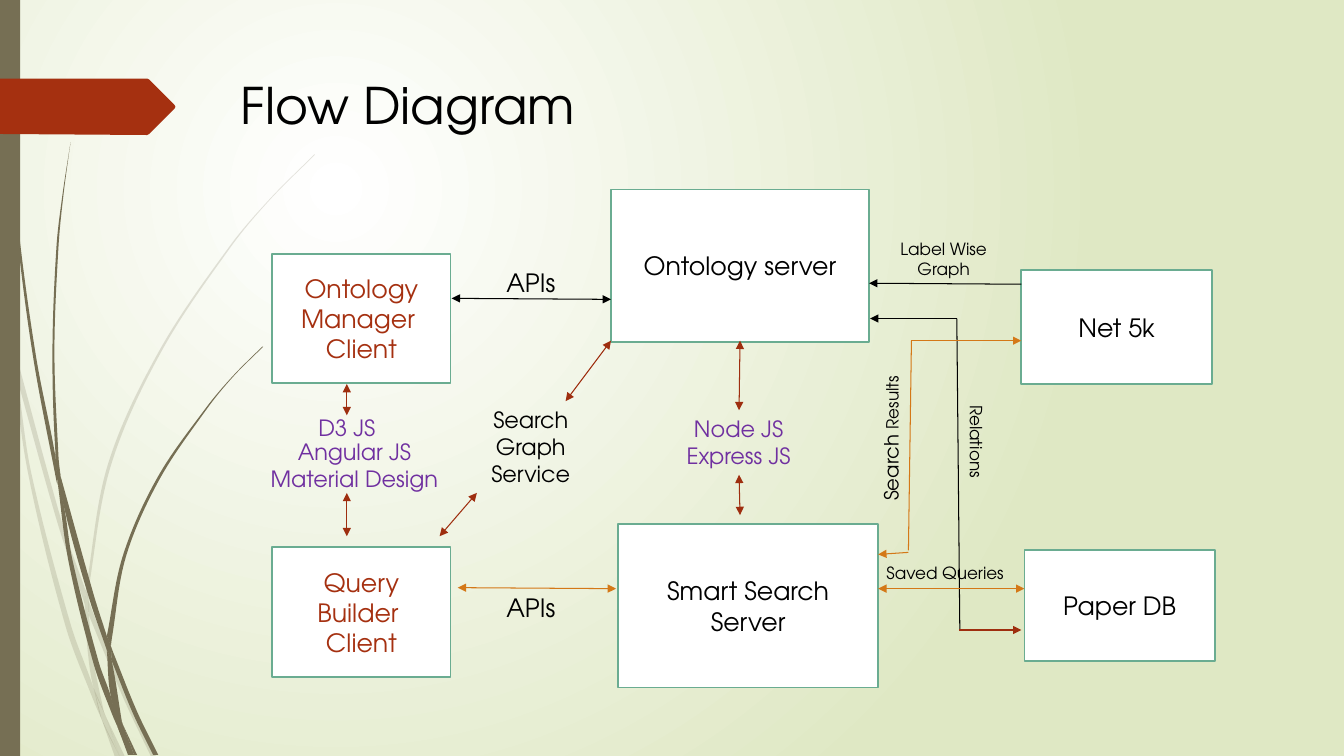
from math import dist
from itertools import accumulate

from lxml.etree import SubElement
from pptx import Presentation
from pptx.dml.color import RGBColor
from pptx.enum.shapes import MSO_CONNECTOR, MSO_SHAPE
from pptx.enum.text import MSO_ANCHOR, MSO_AUTO_SIZE, PP_ALIGN
from pptx.oxml.ns import qn
from pptx.util import Inches, Pt

# The grid has square cells: 13.33 columns by 7.5 rows.
CELL, COLUMNS, ROWS = Inches(1), 13.33, 7.5
FONT = "TeX Gyre Adventor"
BLACK, WHITE, OLIVE, RUST = "000000", "FFFFFF", "766F54", "A53010"
BRICK, ORANGE, PURPLE, GREEN = "9E2E0F", "D47817", "7030A0", "6AAC91"

# Each blade of grass is a pair of edges that run side by side.
PALE_BLADES = [
    ([(0, 2.82), (.09, 3.22), (.11, 3.5)], [(0, 2.99), (.1, 3.44), (.11, 3.5)]),
    ([(.14, 3.45), (.62, 5.2), (.85, 5.86)], [(.17, 3.76), (.58, 5.22), (.84, 5.99)]),
    ([(.88, 5.96), (.92, 6.07), (1.27, 6.92), (1.55, 7.51)],
     [(.88, 6.1), (1.23, 6.94), (1.5, 7.51)]),
    ([(1.05, 7.11), (1.24, 7.51)], [(1.05, 7.11), (1.19, 7.51)]),
    ([(.11, 3.5), (.17, 3.76), (.31, 4.69), (.7, 6.19), (.93, 6.83), (1.01, 7.14)],
     [(.11, 3.5), (.28, 4.7), (.65, 6.21), (.92, 6.93), (1.01, 7.14)]),
    ([(.84, 5.99), (.88, 6.1), (.91, 6.46), (1.03, 7.06), (1.05, 7.11)],
     [(.84, 5.99), (.87, 6.46), (.93, 6.83), (1.05, 7.11)]),
    ([(3.12, 1.53), (2.68, 1.97), (2.28, 2.44), (1.58, 3.48), (1.07, 4.61), (.85, 5.86)],
     [(3.12, 1.54), (2.68, 1.98), (2.29, 2.45), (1.6, 3.49), (1.1, 4.62), (.88, 5.84),
      (.88, 5.96)]),
    ([(1.01, 7.14), (1.19, 7.51)], [(1.01, 7.14), (1.14, 7.51)]),
    ([(.85, 5.86), (.88, 5.96), (.88, 6.1)], [(.84, 5.99), (.88, 6.08)]),
    ([(.93, 6.83), (1.05, 7.11), (1.19, 7.51)],
     [(.93, 6.83), (1.01, 7.14), (1.19, 7.51)]),
]
DARK_BLADES = [
    ([(.04, 0), (.05, .48), (.08, 1.09), (.19, 2.32), (.36, 3.55), (.55, 4.53), (.57, 4.81)],
     [(.03, 0), (.04, .48), (.07, 1.1), (.17, 2.33), (.33, 3.55), (.56, 4.77), (.57, 4.81)]),
    ([(.6, 4.72), (.93, 5.9), (1.06, 6.31)],
     [(.6, 4.72), (.64, 5.05), (.88, 5.92), (1.06, 6.45)]),
    ([(1.1, 6.41), (1.13, 6.49), (1.36, 7.06), (1.57, 7.49)],
     [(1.11, 6.56), (1.32, 7.08), (1.52, 7.49)]),
    ([(.57, 4.77), (.64, 5.05), (.72, 5.56), (.98, 6.57), (1.1, 6.91), (1.17, 7.22)],
     [(.57, 4.77), (.68, 5.57), (.93, 6.59), (1.11, 7.08), (1.17, 7.22)]),
    ([(.7, 1.41), (.63, 1.93), (.58, 2.45), (.54, 3.49), (.58, 4.53), (.6, 4.72)],
     [(.7, 1.41), (.62, 1.93), (.56, 2.45), (.52, 3.49), (.55, 4.49), (.6, 4.72)]),
    ([(1.22, 7.19), (1.36, 7.49)], [(1.22, 7.19), (1.33, 7.49)]),
    ([(.55, 4.49), (.6, 4.72), (.64, 5.05)], [(.55, 4.53), (.57, 4.77), (.64, 5.05)]),
    ([(2.6, 3.44), (2.31, 3.73), (2.04, 4.05), (1.56, 4.74), (1.22, 5.51), (1.06, 6.31)],
     [(2.61, 3.44), (2.31, 3.74), (2.05, 4.06), (1.58, 4.76), (1.25, 5.52), (1.11, 6.33),
      (1.1, 6.41)]),
    ([(1.17, 7.22), (1.31, 7.49)], [(1.17, 7.22), (1.27, 7.49)]),
    ([(1.06, 6.45), (1.11, 6.56), (1.21, 7.16), (1.22, 7.19)],
     [(1.06, 6.45), (1.1, 6.91), (1.22, 7.19)]),
    ([(1.06, 6.31), (1.1, 6.41), (1.11, 6.56)], [(1.06, 6.45), (1.11, 6.56)]),
    ([(1.1, 6.91), (1.22, 7.19), (1.33, 7.49)],
     [(1.1, 6.91), (1.17, 7.22), (1.3, 7.49)]),
]


def grid(*cells):
    """Turn grid lengths into slide units."""
    return [round(cell * CELL) for cell in cells]


def paint(colour_format, colour):
    """Set a colour from a hex string."""
    colour_format.rgb = RGBColor.from_string(colour)


def fill(shape, colour, line=None):
    """Give a shape a plain fill, an optional outline and no shadow."""
    shape.shadow.inherit = False
    shape.fill.solid()
    paint(shape.fill.fore_color, colour)
    if line:
        paint(shape.line.color, line)
        shape.line.width = Pt(1.25)
    else:
        shape.line.fill.background()


def smooth(points):
    """Return the first point, then two handles and an end for each curve."""
    lengths = [dist(a, b) for a, b in zip(points, points[1:])]
    marks = [0, *accumulate(lengths)]
    slopes = []
    for i in range(len(points)):
        low, high = max(i - 1, 0), min(i + 1, len(points) - 1)
        slopes.append([(b - a) / (marks[high] - marks[low])
                       for a, b in zip(points[low], points[high])])
    curve = [points[0]]
    for i, length in enumerate(lengths):
        start, end = points[i], points[i + 1]
        curve += [[a + m * length / 3 for a, m in zip(start, slopes[i])],
                  [b - m * length / 3 for b, m in zip(end, slopes[i + 1])], end]
    return curve


def add_outline(shapes, points, colour):
    """Add a filled closed outline."""
    start, *rest = [grid(*point) for point in points]
    builder = shapes.build_freeform(*start, scale=1)
    builder.add_line_segments(rest, close=True)
    outline = builder.convert_to_shape()
    fill(outline, colour)
    return outline


def bend(outline, straight):
    """Merge each three segments into one curve, but keep one segment straight."""
    segments = list(outline._element.iter(qn("a:lnTo")))
    del segments[straight]
    for first, *others in zip(segments[::3], segments[1::3], segments[2::3]):
        first.tag = qn("a:cubicBezTo")
        for segment in others:
            first.append(segment[0])
            segment.getparent().remove(segment)


def add_grass(page, blades, opacity):
    """Add a group of curved blades."""
    group = page.shapes.add_group_shape()
    for near_edge, far_edge in blades:
        near, far = smooth(near_edge), smooth(far_edge[::-1])
        blade = add_outline(group.shapes, near + far, OLIVE)
        bend(blade, len(near) - 1)
        if opacity < 100:
            colour = next(blade._element.iter(qn("a:srgbClr")))
            SubElement(colour, qn("a:alpha"), val=str(opacity * 1000))


def lines(size, *texts):
    """Make one paragraph of one run for each text."""
    return [[(text, size)] for text in texts]


def write(frame, paragraphs, colour, align=PP_ALIGN.CENTER):
    """Fill a text frame run by run."""
    for i, runs in enumerate(paragraphs):
        para = frame.add_paragraph() if i else frame.paragraphs[0]
        para.alignment = align
        for text, size in runs:
            span = para.add_run()
            span.text = text
            span.font.name, span.font.size = FONT, Pt(size)
            paint(span.font.color, colour)


def add_node(page, place, colour, *texts):
    """Add a white box of the diagram."""
    box = page.shapes.add_shape(MSO_SHAPE.RECTANGLE, *grid(*place))
    fill(box, WHITE, GREEN)
    box.text_frame.word_wrap = True
    box.text_frame.vertical_anchor = MSO_ANCHOR.MIDDLE
    write(box.text_frame, lines(18, *texts), colour)


def add_label(page, place, paragraphs, colour=BLACK, wrap=False, turn=0,
              align=PP_ALIGN.CENTER):
    """Add free text, turned if asked."""
    box = page.shapes.add_textbox(*grid(*place))
    box.rotation = turn
    box.text_frame.word_wrap = wrap
    box.text_frame.auto_size = MSO_AUTO_SIZE.SHAPE_TO_FIT_TEXT
    write(box.text_frame, paragraphs, colour, align)


def add_flow(page, start, end, colour, arrows=("headEnd", "tailEnd")):
    """Add a straight line with the given arrowheads."""
    flow = page.shapes.add_connector(MSO_CONNECTOR.STRAIGHT, *grid(*start, *end))
    paint(flow.line.color, colour)
    flow.line.width = Pt(.75)
    for arrow in arrows:
        SubElement(flow.line._get_or_add_ln(), qn(f"a:{arrow}"), type="triangle")
    SubElement(flow._element.spPr, qn("a:effectLst"))


def add_backdrop(page):
    """Paint the radial background, grass, side bar and title marker."""
    backdrop = page.background.fill
    backdrop.gradient()
    for stop, position, colour in zip(backdrop.gradient_stops, (0, 1), (WHITE, "DFE8C4")):
        stop.position = position
        paint(stop.color, colour)
    linear = next(page._element.iter(qn("a:lin")))
    gradient = linear.getparent()
    gradient.remove(linear)
    circle = SubElement(gradient, qn("a:path"), path="circle")
    SubElement(circle, qn("a:fillToRect"), l="50000", t="50000", r="100000", b="100000")
    add_grass(page, PALE_BLADES, 20)
    add_grass(page, DARK_BLADES, 100)
    fill(page.shapes.add_shape(MSO_SHAPE.RECTANGLE, *grid(0, 0, .2, ROWS)), OLIVE)
    add_outline(page.shapes, [(0, .78), (1.46, .78), (1.48, .79), (1.73, 1.04), (1.74, 1.06),
                              (1.73, 1.08), (1.48, 1.33), (1.46, 1.34), (0, 1.33)], RUST)


def main():
    """Build the flow diagram slide."""
    deck = Presentation()
    deck.slide_width, deck.slide_height = grid(COLUMNS, ROWS)
    page = deck.slides.add_slide(deck.slide_layouts[6])
    add_backdrop(page)

    add_node(page, (2.7, 2.52, 1.77, 1.28), RUST, "Ontology Manager ", "Client")
    add_node(page, (2.7, 5.43, 1.77, 1.29), RUST, "Query Builder ", "Client")
    add_node(page, (6.06, 1.88, 2.56, 1.51), BLACK, "Ontology server")
    add_node(page, (10.13, 2.68, 1.89, 1.13), BLACK, "Net 5k")
    add_node(page, (10.16, 5.46, 1.89, 1.1), BLACK, "Paper DB")
    add_node(page, (6.13, 5.2, 2.58, 1.62), BLACK, "Smart Search Server")

    add_flow(page, (9.52, 6.25), (9.49, 3.16), BLACK, [])
    add_flow(page, (9.04, 3.38), (9.01, 5.46), ORANGE, [])
    for start, end, colour in [
            ((9.49, 3.16), (8.63, 3.16), BLACK), ((9.01, 5.48), (8.71, 5.5), ORANGE),
            ((9.04, 3.38), (10.13, 3.38), ORANGE), ((9.51, 6.25), (10.13, 6.25), BRICK),
            ((10.13, 2.82), (8.62, 2.81), BLACK)]:
        add_flow(page, start, end, colour, ["tailEnd"])
    for start, end, colour in [
            ((4.48, 2.96), (6.06, 2.97), BLACK), ((4.54, 5.83), (6.11, 5.84), ORANGE),
            ((10.16, 5.84), (8.71, 5.84), ORANGE), ((6.06, 3.38), (5.61, 3.98), BRICK),
            ((4.36, 5.32), (4.73, 4.89), BRICK), ((3.44, 3.81), (3.44, 4.12), BRICK),
            ((3.44, 4.89), (3.44, 5.32), BRICK), ((7.34, 3.38), (7.33, 4.07), BRICK),
            ((7.33, 4.71), (7.34, 5.11), BRICK)]:
        add_flow(page, start, end, colour)

    add_label(page, (4.73, 3.98, 1.07, .91), lines(16, "Search", "Graph Service"), wrap=True)
    add_label(page, (3.05, 4.06, .78, .37), lines(16, "D3 JS"), PURPLE)
    add_label(page, (2.57, 4.3, 1.89, .64), lines(16, "Angular JS", "Material Design"), PURPLE)
    add_label(page, (6.7, 4.07, 1.25, .64), lines(16, "Node JS", "Express JS"), PURPLE)
    add_label(page, (8.61, 5.53, 1.53, .3), lines(12, "Saved Queries"), wrap=True)
    add_label(page, (8.11, 4.18, 1.46, .34), [[("Search ", 14), ("Results", 12)]], turn=270)
    add_label(page, (9.22, 4.23, .93, .3), lines(12, "Relations"), turn=90)
    add_label(page, (8.68, 2.32, 1.36, .5), lines(12, "Label Wise Graph"), wrap=True)
    add_label(page, (2.29, .69, 3.54, .71), lines(36, "Flow Diagram"), align=PP_ALIGN.LEFT)
    for top in (2.6, 5.83):
        add_label(page, (4.92, top, .69, .4), lines(18, "APIs"))
    deck.save("out.pptx")


main()
